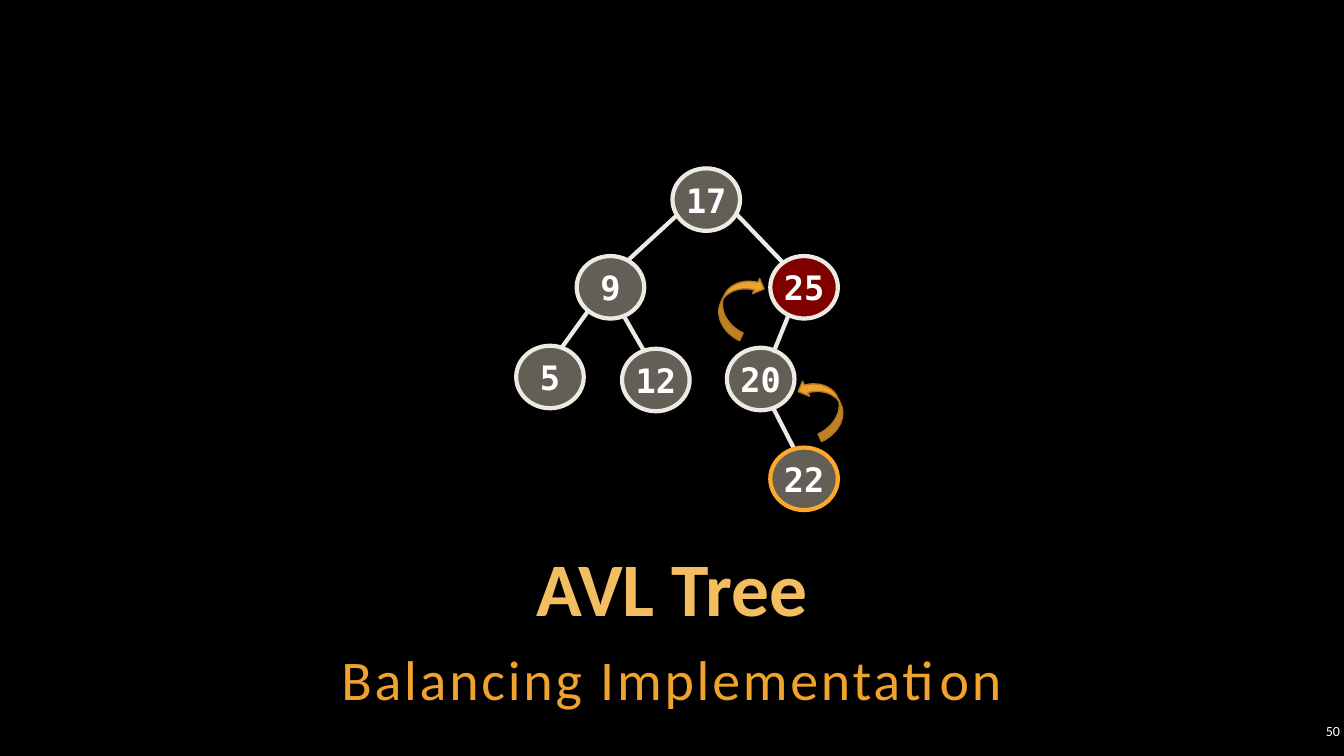
from lxml.etree import SubElement
from pptx import Presentation
from pptx.dml.color import RGBColor
from pptx.enum.shapes import MSO_CONNECTOR, MSO_SHAPE
from pptx.enum.text import MSO_ANCHOR, MSO_AUTO_SIZE, PP_ALIGN
from pptx.oxml.ns import qn
from pptx.util import Inches, Pt

SANS, MONO = "Calibri", "DejaVu Sans Mono"
WHITE, CREAM, GOLD, AMBER = "FFFFFF", "ECEAE3", "F3BE60", "F0A22E"
STONE, RED, BRIGHT, BROWN = "C7BFAC", "FF0000", "FFA72A", "B27822"

# Value, left, top, fill, outline
NODES = [
    ("17", 6.67, 1.67, STONE, CREAM),
    ("25", 7.64, 2.54, RED, CREAM),
    ("9", 5.72, 2.54, STONE, CREAM),
    ("5", 5.12, 3.43, STONE, CREAM),
    ("12", 6.17, 3.46, STONE, CREAM),
    ("20", 7.21, 3.45, STONE, CREAM),
    ("22", 7.64, 4.44, STONE, BRIGHT),
]

# Start and end of each branch
EDGES = [
    (6.72, 2.13, 6.22, 2.59),
    (5.83, 3.09, 5.57, 3.45),
    (6.19, 3.14, 6.38, 3.47),
    (7.3, 2.12, 7.77, 2.61),
    (7.82, 3.13, 7.67, 3.5),
    (7.67, 4.05, 7.87, 4.44),
]


def color(code):
    return RGBColor.from_string(code)


class Board:
    def __init__(self, deck):
        self.slide = deck.slides.add_slide(deck.slide_layouts[5])
        self.shapes = self.slide.shapes
        back = self.slide.background.fill
        back.solid()
        back.fore_color.rgb = color("000000")

    def style(self, shape, text, size, tone, font=SANS, bold=False,
              align=PP_ALIGN.CENTER, anchor=MSO_ANCHOR.MIDDLE, wrap=True):
        frame = shape.text_frame
        frame.text = text
        frame.word_wrap = wrap
        frame.auto_size = MSO_AUTO_SIZE.NONE
        frame.vertical_anchor = anchor
        frame.margin_left = frame.margin_right = Inches(0.04)
        frame.margin_top = frame.margin_bottom = Inches(0.04)
        para = frame.paragraphs[0]
        para.alignment = align
        para.font.name = font
        para.font.size = Pt(size)
        para.font.bold = bold
        para.font.color.rgb = color(tone)
        return para

    def title(self, text, box):
        shape = self.shapes.title
        shape.left, shape.top, shape.width, shape.height = map(Inches, box)
        para = self.style(shape, text, 54, GOLD, bold=True,
                          anchor=MSO_ANCHOR.BOTTOM)
        para.line_spacing = 0.9

    def label(self, text, box, size, tone, **look):
        shape = self.shapes.add_textbox(*map(Inches, box))
        return self.style(shape, text, size, tone, **look)

    def shape(self, kind, box, fill, line, width):
        shape = self.shapes.add_shape(kind, *map(Inches, box))
        shape.shadow.inherit = False
        shape.fill.solid()
        shape.fill.fore_color.rgb = color(fill)
        shape.line.color.rgb = color(line)
        shape.line.width = Pt(width)
        return shape

    def node(self, text, left, top, fill, line):
        shape = self.shape(MSO_SHAPE.OVAL, (left, top, 0.67, 0.62),
                           fill, line, 3)
        # Half-transparent fill
        tint = shape.element.spPr.find(qn("a:solidFill"))[0]
        SubElement(tint, qn("a:alpha"), val="50000")
        self.style(shape, text, 24, WHITE, MONO, True, wrap=False)

    def edge(self, *ends):
        line = self.shapes.add_connector(MSO_CONNECTOR.STRAIGHT,
                                         *map(Inches, ends))
        line.line.color.rgb = color(CREAM)
        line.line.width = Pt(3)
        SubElement(line.element.spPr, qn("a:effectLst"))

    def arrow(self, kind, box, angle):
        self.shape(kind, box, AMBER, BROWN, 1).rotation = angle


def main():
    deck = Presentation()
    deck.slide_width, deck.slide_height = Inches(13.33), Inches(7.5)
    board = Board(deck)

    # Headings and page number
    board.title("AVL Tree", (1, 5.42, 11.33, 0.9))
    para = board.label("Balancing Implementation", (1, 6.29, 11.33, 0.82),
                       40, AMBER, anchor=MSO_ANCHOR.TOP)
    para.line_spacing = 1.1
    para.space_after = Pt(6)
    # Letter spacing of two points
    para.runs[0]._r.get_or_add_rPr().set("spc", "200")
    board.label("50", (12.86, 7.14, 0.47, 0.22), 10, WHITE,
                align=PP_ALIGN.RIGHT)

    # Tree
    for edge in EDGES:
        board.edge(*edge)
    for node in NODES:
        board.node(*node)

    # Rotation arrows
    board.arrow(MSO_SHAPE.CURVED_UP_ARROW, (7.85, 3.86, 0.63, 0.33), 245)
    board.arrow(MSO_SHAPE.CURVED_DOWN_ARROW, (7, 2.85, 0.65, 0.33), 295.3)

    deck.save("out.pptx")


if __name__ == "__main__":
    main()
